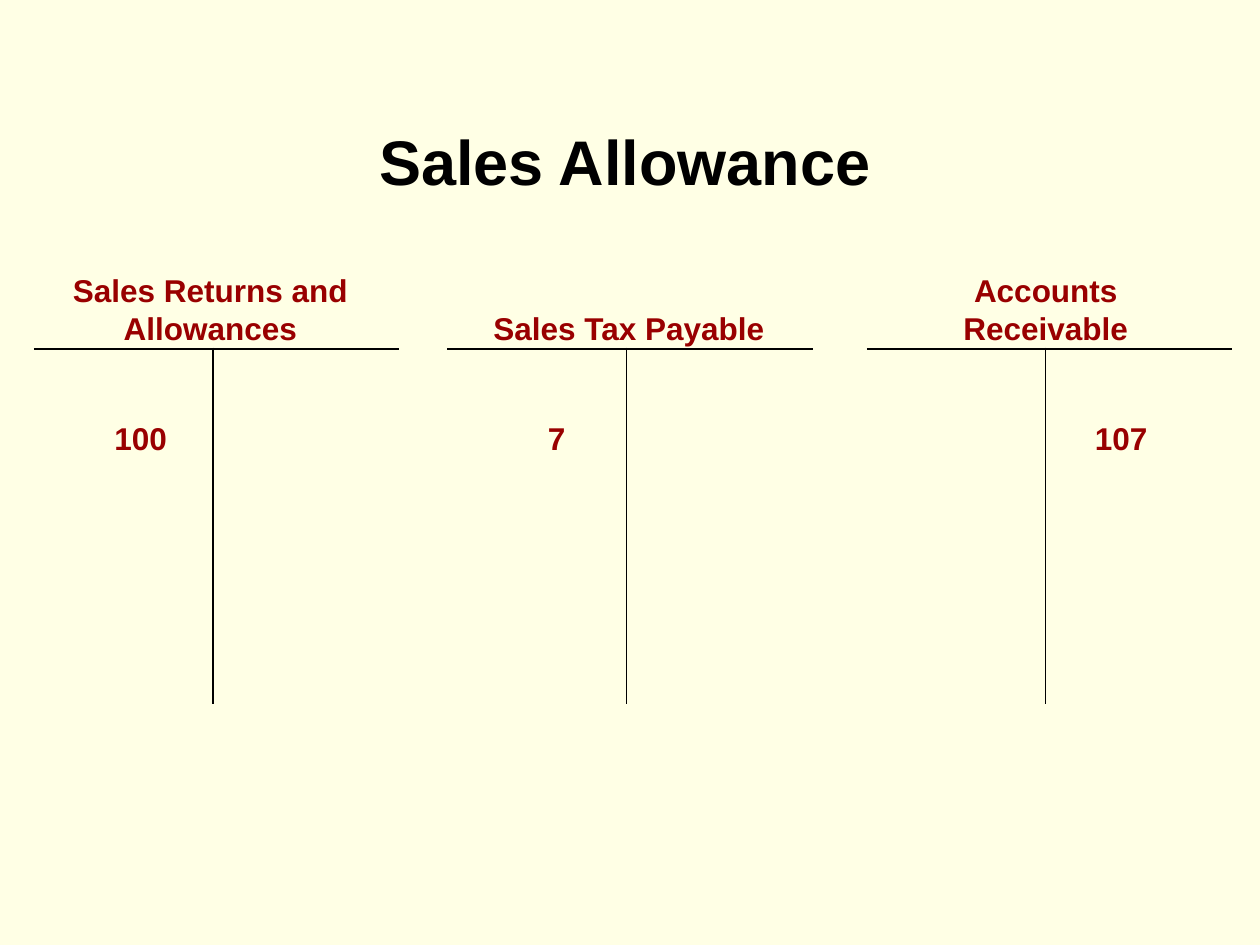
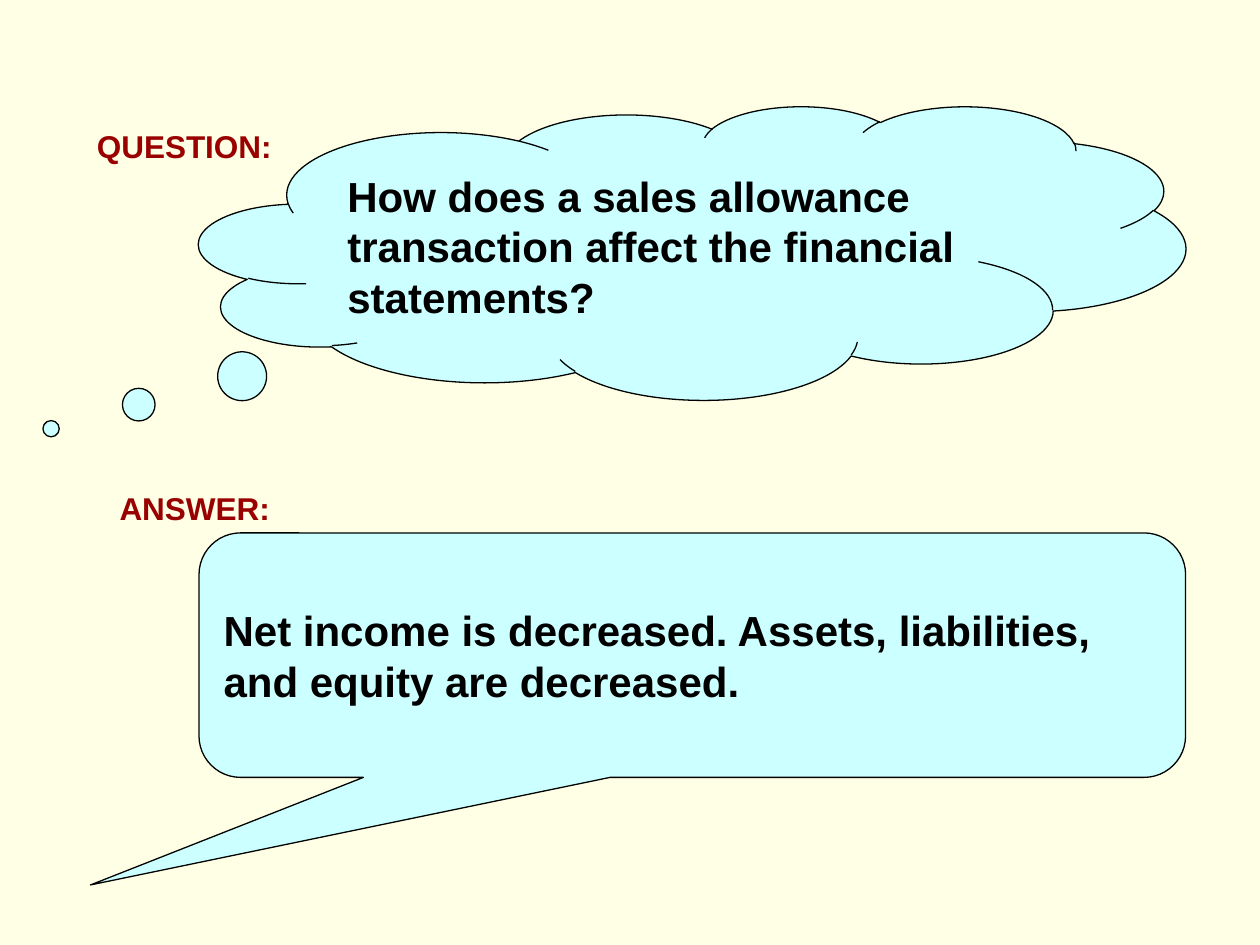
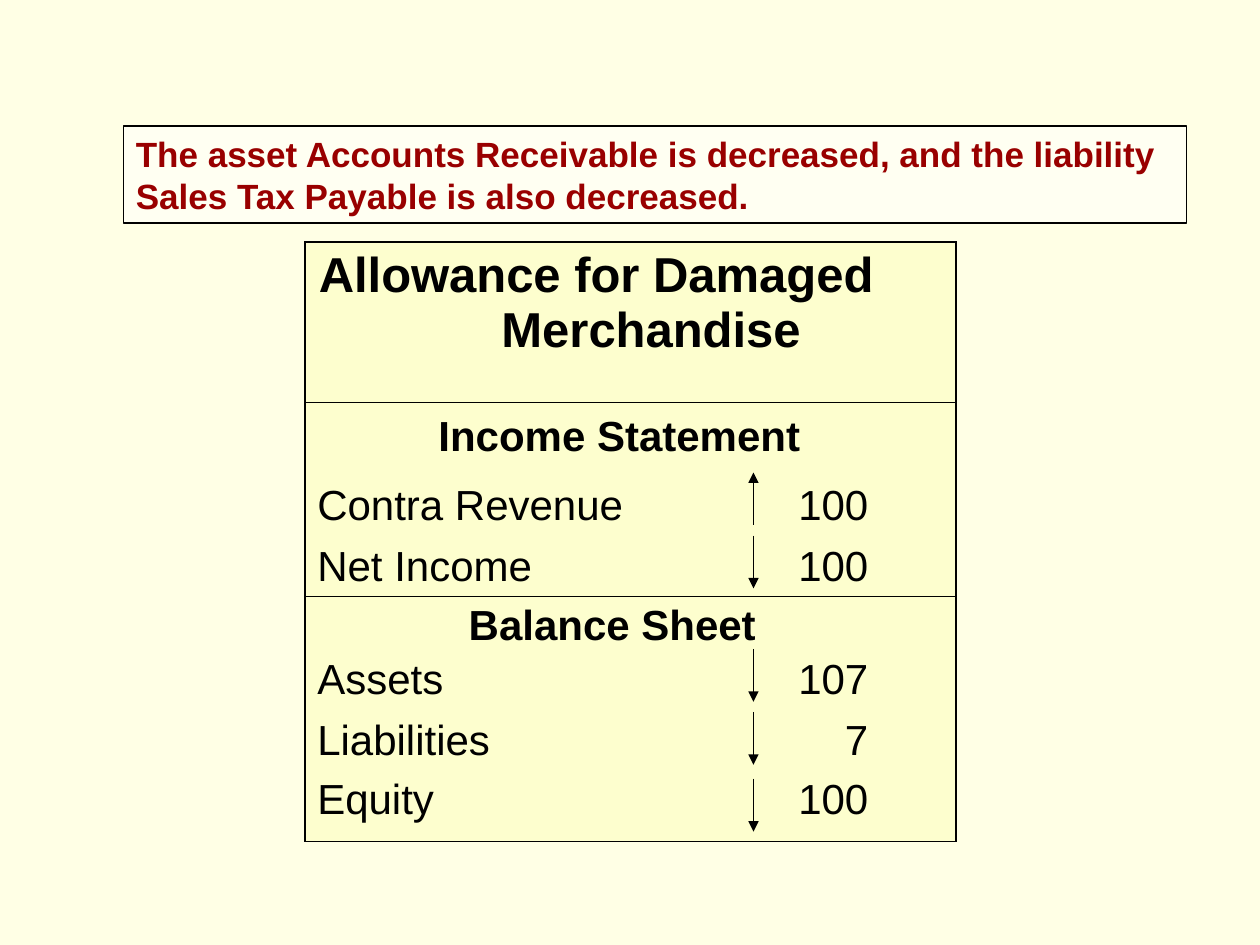
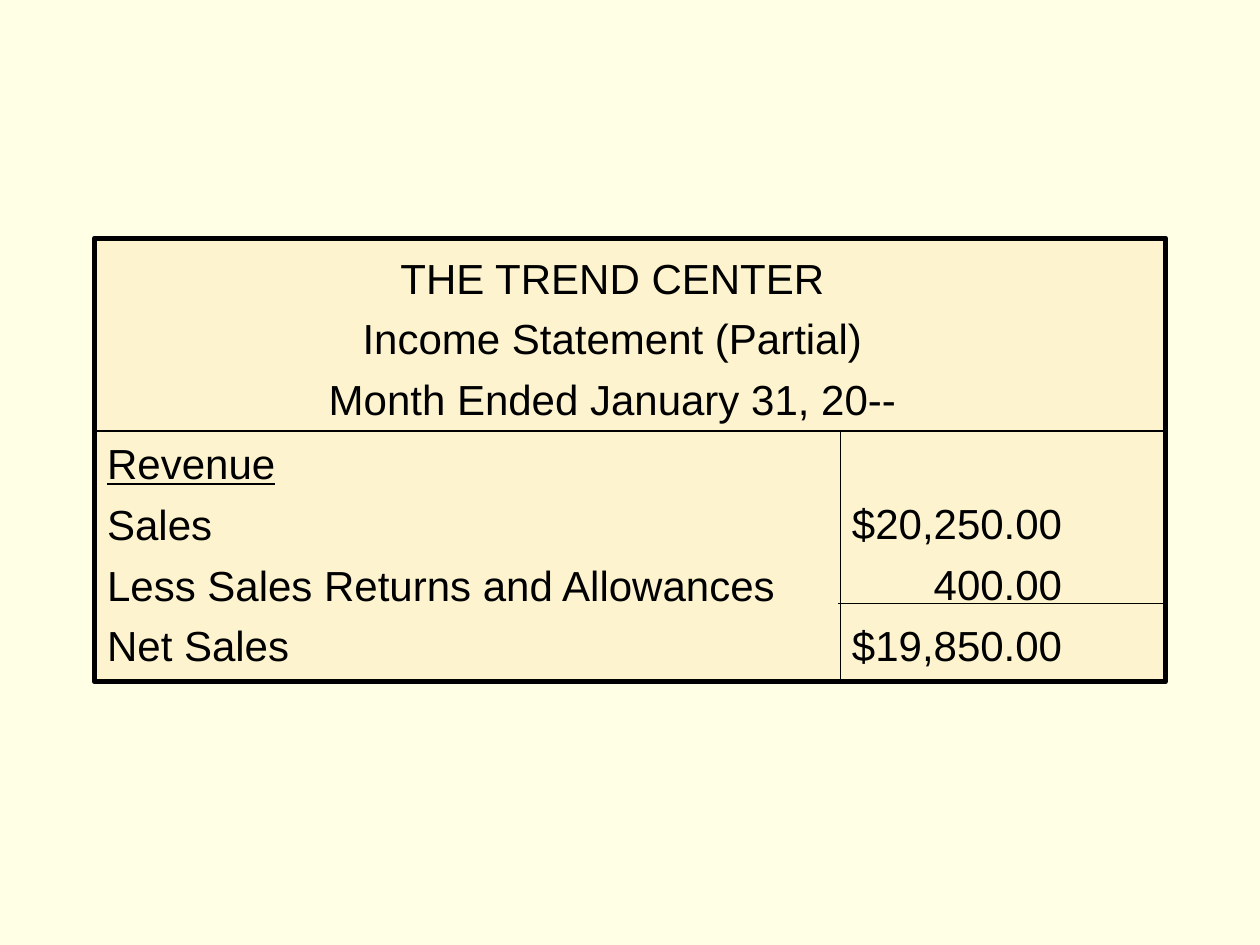
from dataclasses import dataclass

from lxml import etree
from pptx import Presentation
from pptx.dml.color import RGBColor
from pptx.enum.shapes import MSO_CONNECTOR, MSO_SHAPE
from pptx.enum.text import MSO_ANCHOR, MSO_AUTO_SIZE, PP_ALIGN
from pptx.oxml.ns import qn
from pptx.util import Inches, Pt

LEFT, CENTER, RIGHT = PP_ALIGN.LEFT, PP_ALIGN.CENTER, PP_ALIGN.RIGHT
TOP, MIDDLE = MSO_ANCHOR.TOP, MSO_ANCHOR.MIDDLE
NO_FIT = MSO_AUTO_SIZE.NONE
STRAIGHT = MSO_CONNECTOR.STRAIGHT
RECT, CLOUD, BUBBLE = MSO_SHAPE.RECTANGLE, MSO_SHAPE.CLOUD_CALLOUT, MSO_SHAPE.ROUNDED_RECTANGULAR_CALLOUT


@dataclass(frozen=True)
class Theme:
    font: str = "Arial"
    paper: RGBColor = RGBColor(0xFF, 0xFF, 0xE5)
    ink: RGBColor = RGBColor(0, 0, 0)
    accent: RGBColor = RGBColor(0x99, 0, 0)
    bubble: RGBColor = RGBColor(0xCC, 0xFF, 0xFF)
    note: RGBColor = RGBColor(0xFF, 0xFF, 0xFF)
    panel: RGBColor = RGBColor(0xFC, 0xFE, 0xB9)
    ledger: RGBColor = RGBColor(0xFD, 0xF4, 0xCF)
    title: int = 36
    heading: int = 28
    body: int = 24
    text: int = 20
    label: int = 18
    gap: int = 6
    thin: float = 0.75


theme = Theme()

prs = Presentation()
prs.slide_width, prs.slide_height = Inches(10), Inches(7.5)
COL, ROW = prs.slide_width / 100, prs.slide_height / 75
fill = prs.slide_master.background.fill
fill.solid()
fill.fore_color.rgb = theme.paper


def grid(x, y, w, h):
    return round(x * COL), round(y * ROW), round(w * COL), round(h * ROW)


def write(holder, lines, size, color=theme.ink, bold=False, align=LEFT, anchor=TOP, wrap=True, hang=0, indent=0):
    tf = holder.text_frame
    for name, value in {"word_wrap": wrap, "auto_size": NO_FIT, "vertical_anchor": anchor}.items():
        setattr(tf, name, value)
    for i, line in enumerate(lines):
        p = tf.paragraphs[0] if i == 0 else tf.add_paragraph()
        pPr = p._p.get_or_add_pPr()
        pPr.set("marL", str(round(hang * COL)))
        pPr.set("indent", str(round(indent * COL)))
        etree.SubElement(pPr, qn("a:buNone"))
        p.alignment = align
        p.space_before = Pt(theme.gap if i else 0)
        r = p.add_run()
        r.text = line
        for name, value in {"name": theme.font, "size": Pt(size), "bold": bold}.items():
            setattr(r.font, name, value)
        r.font.color.rgb = color
    return tf


lines = []

# Slide 1
s = prs.slides.add_slide(prs.slide_layouts[5])
title = s.shapes.title
title.left, title.top, title.width, title.height = grid(29.1, 8.8, 42.3, 7.8)
write(title, ["Sales Allowance"], theme.title, bold=True, anchor=MIDDLE)
accounts = [
    ("Sales Returns and Allowances", 2, 2.7, 16.7, 33.4, "100", 8.1),
    ("Sales Tax Payable", 1, 35.5, 49.9, 27.8, "7", 42.5),
    ("Accounts Receivable", 2, 68.8, 83, 26, "107", 85.9),
]
for name, rows, left, middle, width, amount, amount_left in accounts:
    height = 1 + 3 * rows
    tb = s.shapes.add_textbox(*grid(middle - width / 2, 28 - height, width, height))
    write(tb, [name], theme.label, theme.accent, bold=True, align=CENTER)
    tb = s.shapes.add_textbox(*grid(amount_left, 32.8, 6.1, 4))
    write(tb, [amount], theme.label, theme.accent, bold=True, wrap=False)
    lines.append((s, left, 27.7, 29, 0, theme.thin, None))
    lines.append((s, left + 14.2, 27.6, 0, 28.3, theme.thin, None))

# Slide 2
s = prs.slides.add_slide(prs.slide_layouts[6])
callouts = [
    (CLOUD, 8.4, 23.3, (-0.65, 0.6), "How does a sales allowance transaction affect the financial statements?",
     "QUESTION:", 6.7, 9.6),
    (BUBBLE, 42.3, 19.4, (-0.61, 0.94, 0.17), "Net income is decreased. Assets, liabilities, and equity are decreased.",
     "ANSWER:", 8.5, 38.3),
]
for kind, top, height, adjust, text, label, label_left, label_top in callouts:
    sp = s.shapes.add_shape(kind, *grid(15.8, top, 78.3, height))
    for i, value in enumerate(adjust):
        sp.adjustments[i] = value
    sp.shadow.inherit = False
    sp.fill.solid()
    sp.fill.fore_color.rgb = theme.bubble
    sp.line.color.rgb, sp.line.width = theme.ink, Pt(theme.thin)
    write(sp, [text], theme.body, bold=True, anchor=MIDDLE)
    tb = s.shapes.add_textbox(*grid(label_left, label_top, 15.9, 4))
    write(tb, [label], theme.label, theme.accent, bold=True, wrap=False)

# Slide 3
s = prs.slides.add_slide(prs.slide_layouts[6])
note = s.shapes.add_shape(RECT, *grid(9.8, 10, 84.4, 7.7))
note.shadow.inherit = False
note.fill.solid()
note.fill.fore_color.rgb = theme.note
note.line.color.rgb, note.line.width = theme.ink, Pt(theme.thin)
write(note, ["The asset Accounts Receivable is decreased, and the liability Sales Tax Payable is also decreased."],
      theme.text, theme.accent, bold=True)
see_through = [note.element.spPr]

table = s.shapes.add_table(3, 1, *grid(24.2, 19.2, 51.7, 47.6)).table
sections = [
    ("Allowance for Damaged Merchandise", 12.7, theme.heading, 14.6, -14.5, 0.5),
    ("Income Statement", 15.4, theme.body, 9.6, 0, 0.9),
    ("Balance Sheet", 19.5, theme.body, 12, 0, 0.5),
]
for i, (text, height, size, hang, indent, margin) in enumerate(sections):
    table.rows[i].height = round(height * ROW)
    cell = table.cell(i, 0)
    cell.margin_top = round(margin * ROW)
    cell.fill.solid()
    cell.fill.fore_color.rgb = theme.panel
    write(cell, [text], size, bold=True, hang=hang, indent=indent)
    tcPr = cell._tc.get_or_add_tcPr()
    see_through.append(tcPr)
    widths = {"a:lnL": 1.08, "a:lnR": 1.08, "a:lnT": 0.45 if i else 1.08, "a:lnB": 1.08 if i == 2 else 0.45}
    for k, (side, width) in enumerate(widths.items()):
        ln = etree.Element(qn(side), w=str(Pt(width)))
        solid = etree.SubElement(ln, qn("a:solidFill"))
        etree.SubElement(solid, qn("a:srgbClr"), val=str(theme.ink))
        tcPr.insert(k, ln)
for parent in see_through:
    color = parent.find(qn("a:solidFill")).find(qn("a:srgbClr"))
    etree.SubElement(color, qn("a:alpha"), val="50000")

entries = [
    (37.5, 9.9, ["Contra Revenue", "Net Income"], ["100", "100"]),
    (51.3, 9.9, ["Assets", "Liabilities"], ["107", "7"]),
    (60.8, 5, ["Equity"], ["100"]),
]
for top, height, names, amounts in entries:
    tb = s.shapes.add_textbox(*grid(24.2, top, 34, height))
    write(tb, names, theme.body)
    tb = s.shapes.add_textbox(*grid(61, top, 8.9, height))
    write(tb, amounts, theme.body, align=RIGHT)
for top, end in [(37.5, "headEnd"), (42.5, "tailEnd"), (51.5, "tailEnd"), (56.5, "tailEnd"), (61.8, "tailEnd")]:
    lines.append((s, 59.8, top, 0, 4.2, theme.thin, end))

# Slide 4
s = prs.slides.add_slide(prs.slide_layouts[1])
title, body = s.placeholders
title.left, title.top, title.width, title.height = grid(7.5, 19.5, 82.2, 14.6)
write(title, ["THE TREND CENTER", "Income Statement (Partial)", "Month Ended January 31, 20--"],
      theme.body, align=CENTER)
body.left, body.top, body.width, body.height = grid(7.5, 34.2, 59.2, 20)
tf = write(body, ["Revenue", "Sales", "Less Sales Returns and Allowances", "Net Sales"], theme.body)
tf.paragraphs[0].runs[0].font.underline = True
frame = s.shapes.add_shape(RECT, *grid(7.5, 18.9, 85, 35.2))
frame.shadow.inherit = False
frame.fill.solid()
frame.fill.fore_color.rgb = theme.ledger
frame.line.color.rgb, frame.line.width = theme.ink, Pt(3)
title.element.addprevious(frame.element)
tb = s.shapes.add_textbox(*grid(66.7, 39, 25.8, 15.2))
tf = write(tb, ["$20,250.00", "400.00", "$19,850.00"], theme.body, align=RIGHT)
tf.margin_left, tf.margin_right = 0, round(8.2 * COL)
lines += [
    (s, 7.5, 34.2, 85, 0, 1, None),
    (s, 66.7, 34.2, 0, 19.8, 1, None),
    (s, 66.5, 47.9, 25.9, 0, theme.thin, None),
]

for s, left, top, width, height, weight, end in lines:
    x, y, w, h = grid(left, top, width, height)
    line = s.shapes.add_connector(STRAIGHT, x, y, x + w, y + h)
    line.line.color.rgb, line.line.width = theme.ink, Pt(weight)
    if end:
        etree.SubElement(line.line._get_or_add_ln(), qn("a:" + end), type="triangle")
    etree.SubElement(line.element.spPr, qn("a:effectLst"))

prs.save("out.pptx")
